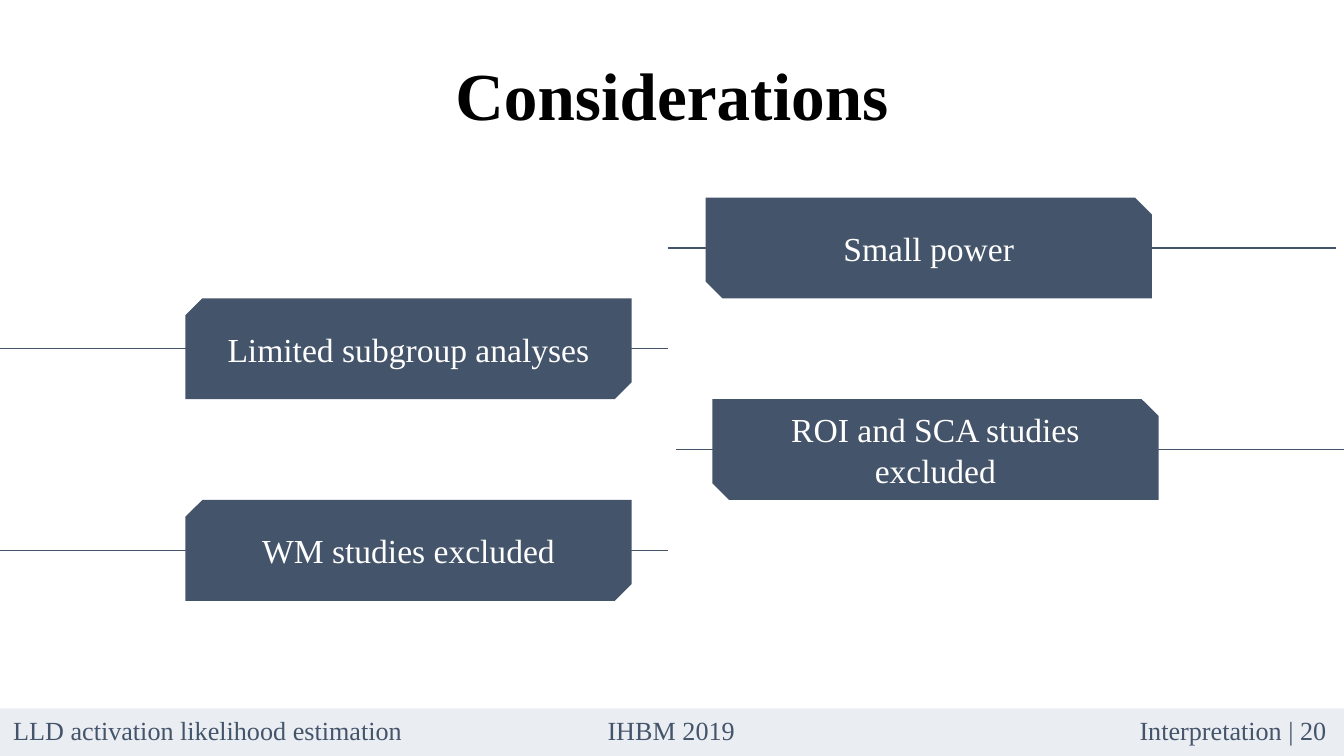
from dataclasses import dataclass

from lxml import etree
from pptx import Presentation
from pptx.dml.color import RGBColor
from pptx.enum.shapes import MSO_CONNECTOR, MSO_SHAPE
from pptx.enum.text import MSO_ANCHOR, MSO_AUTO_SIZE, PP_ALIGN
from pptx.oxml.ns import qn
from pptx.util import Inches, Pt

RECT, SNIP = MSO_SHAPE.RECTANGLE, MSO_SHAPE.SNIP_2_DIAG_RECTANGLE
LINE = MSO_CONNECTOR.STRAIGHT
MIDDLE, TOP = MSO_ANCHOR.MIDDLE, MSO_ANCHOR.TOP
LEFT, CENTER, RIGHT = PP_ALIGN.LEFT, PP_ALIGN.CENTER, PP_ALIGN.RIGHT
FIXED = MSO_AUTO_SIZE.NONE
TITLE_ONLY = 5


@dataclass(frozen=True)
class Theme:
    font: str = "Times New Roman"
    black: str = "000000"
    white: str = "FFFFFF"
    slate: str = "44546A"
    pale: str = "EAEDF2"
    title: int = 36
    body: int = 18
    foot: int = 14
    rule: float = 0.75


THEME = Theme()
WIDE = 10
HIGH = WIDE * 9 / 16
ROW_TOP, ROW = 1.47, 0.75
BOX, SNIP_CUT = 3.32, 0.167
FOOT_TOP, BAR, NOTE = 5.27, 0.38, 0.34

# text, box left, line start, line end, snipped top corner
ITEMS = [
    ("Small power", 5.25, 4.97, 9.94, RIGHT),
    ("Limited subgroup analyses", 1.38, 0, 4.97, LEFT),
    ("ROI and SCA studies excluded", 5.3, 5.03, WIDE, RIGHT),
    ("WM studies excluded", 1.38, 0, 4.97, LEFT),
]
NOTES = [
    ("LLD activation likelihood estimation", 0, 3.38, LEFT),
    ("IHBM 2019", 4.08, 1.83, CENTER),
    ("Interpretation | 20", 8.14, 1.83, RIGHT),
]


def color(code):
    return RGBColor.from_string(code)


def area(*sizes):
    return [Inches(size) for size in sizes]


def write(shape, text, size, ink, align=CENTER, anchor=MIDDLE, pad=0.1, bold=False):
    """Fill a shape with one formatted paragraph; pad is the top and bottom inset."""
    frame = shape.text_frame
    frame.text = text
    frame.word_wrap = True
    frame.auto_size = FIXED
    frame.vertical_anchor = anchor
    frame.margin_left = frame.margin_right = Inches(0.1)
    frame.margin_top = frame.margin_bottom = Inches(pad)
    para = frame.paragraphs[0]
    para.alignment = align
    font = para.runs[0].font
    font.name, font.size, font.bold = THEME.font, Pt(size), bold
    font.color.rgb = color(ink)


def add_title(slide, text):
    title = slide.shapes.title
    title.left, title.top, title.width, title.height = area(2.15, 0.39, 5.7, 0.62)
    write(title, text, THEME.title, THEME.black, bold=True)


def add_block(slide, kind, place, fill):
    block = slide.shapes.add_shape(kind, *area(*place))
    block.shadow.inherit = False
    block.fill.solid()
    block.fill.fore_color.rgb = color(fill)
    block.line.fill.background()
    return block


def add_rule(slide, start, end, y):
    rule = slide.shapes.add_connector(LINE, *area(start, y, end, y))
    rule.line.color.rgb = color(THEME.slate)
    rule.line.width = Pt(THEME.rule)
    etree.SubElement(rule._element.spPr, qn("a:effectLst"))


def add_item(slide, row, text, left, start, end, side):
    """Place a snipped box on a rule that runs behind it."""
    top = ROW_TOP + row * ROW
    add_rule(slide, start, end, top + ROW / 2)
    box = add_block(slide, SNIP, (left, top, BOX, ROW), THEME.slate)
    box.adjustments[0] = SNIP_CUT if side == LEFT else 0
    box.adjustments[1] = SNIP_CUT if side == RIGHT else 0
    write(box, text, THEME.body, THEME.white)


def add_footer(slide):
    add_block(slide, RECT, (0, FOOT_TOP, WIDE, BAR), THEME.pale)
    for text, left, width, align in NOTES:
        note = slide.shapes.add_textbox(*area(left, FOOT_TOP, width, NOTE))
        write(note, text, THEME.foot, THEME.slate, align, TOP, pad=0.05)


def main():
    deck = Presentation()
    deck.slide_width, deck.slide_height = area(WIDE, HIGH)
    slide = deck.slides.add_slide(deck.slide_layouts[TITLE_ONLY])
    add_title(slide, "Considerations")
    for row, item in enumerate(ITEMS):
        add_item(slide, row, *item)
    add_footer(slide)
    deck.save("out.pptx")


if __name__ == "__main__":
    main()
